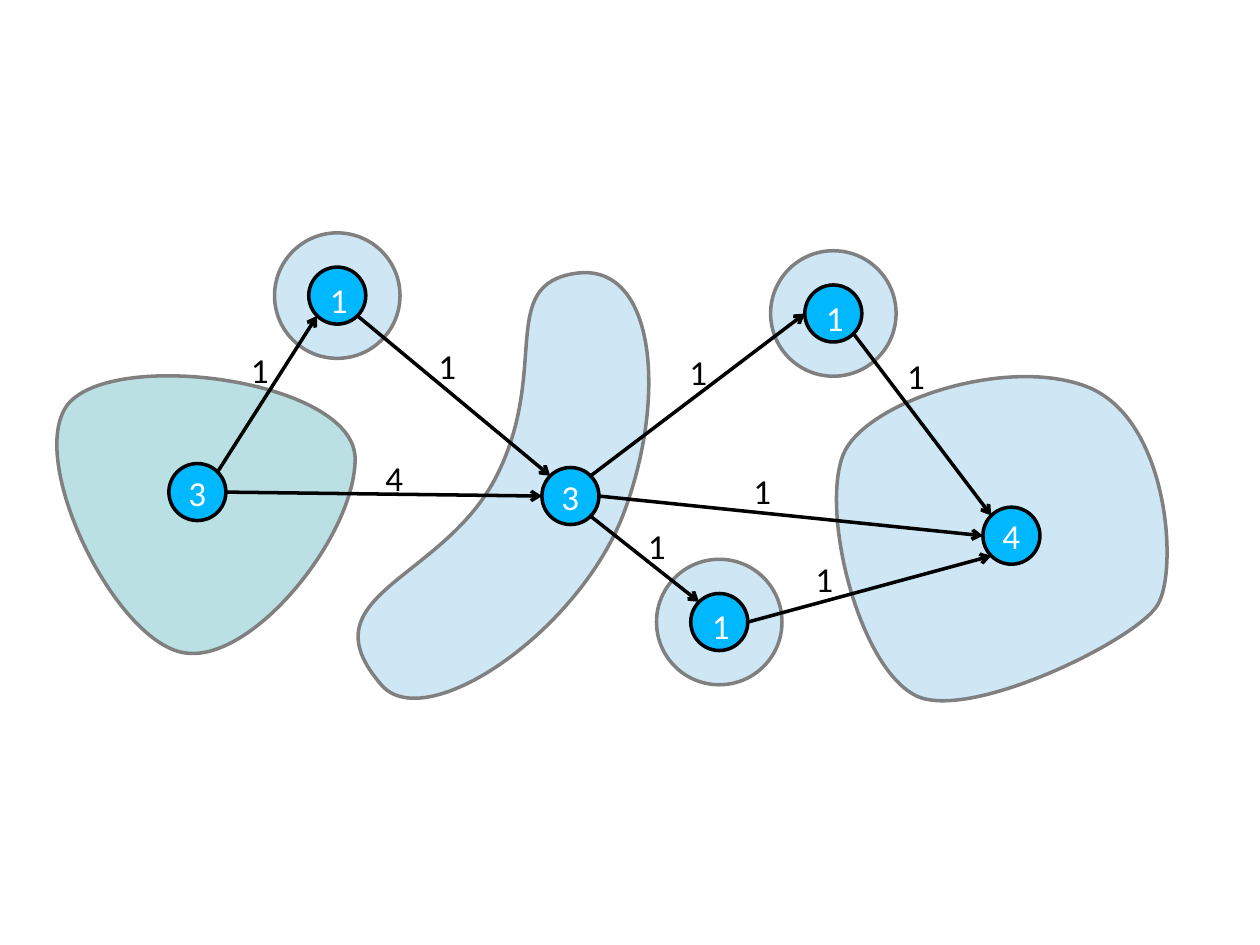
from math import cos, radians, sin

from lxml import etree
from pptx import Presentation
from pptx.dml.color import RGBColor
from pptx.enum.shapes import MSO_CONNECTOR, MSO_SHAPE
from pptx.enum.text import MSO_ANCHOR, MSO_AUTO_SIZE, PP_ALIGN
from pptx.oxml.ns import qn
from pptx.util import Cm, Pt

OVAL = MSO_SHAPE.OVAL
LINE = MSO_CONNECTOR.STRAIGHT
LEFT, CENTER = PP_ALIGN.LEFT, PP_ALIGN.CENTER
TOP, MIDDLE = MSO_ANCHOR.TOP, MSO_ANCHOR.MIDDLE
GROW = MSO_AUTO_SIZE.SHAPE_TO_FIT_TEXT
HEX = {"pale": "CFE7F5", "teal": "BBE0E3", "gray": "808080",
       "blue": "00B8FF", "black": "000000", "white": "FFFFFF"}
RGB = {name: RGBColor.from_string(code) for name, code in HEX.items()}
NODE, HALO = 1.15, 2.53

deck = Presentation()
deck.slide_width, deck.slide_height = Cm(25.4), Cm(19.05)
slide = deck.slides.add_slide(deck.slide_layouts[6])
shapes = slide.shapes


def write(text, frame=None, at=None, color="black", align=LEFT, anchor=TOP):
    if frame is None:
        frame = shapes.add_textbox(Cm(at[0]), Cm(at[1]), Cm(0.82), Cm(1.08)).text_frame
        frame.auto_size = GROW
        frame.margin_left = frame.margin_right = Cm(0.23)
        frame.margin_top = frame.margin_bottom = Cm(0.11)
    frame.word_wrap = False
    frame.vertical_anchor = anchor
    para = frame.paragraphs[0]
    para.alignment = align
    run = para.add_run()
    run.text = text
    run.font.name = "Calibri"
    run.font.size = Pt(20)
    run.font.color.rgb = RGB[color]


def paint(shape, fill, line):
    shape.shadow.inherit = False
    shape.fill.solid()
    shape.fill.fore_color.rgb = RGB[fill]
    shape.line.color.rgb = RGB[line]
    shape.line.width = Pt(2)


blobs = [
    ("pale", (7.21, 5.51, 5.87, 8.56),
     [(7.7, 13.82), (8.59, 14.81), (11.61, 12.78), (12.55, 10.41),
      (13.46, 8.05), (13.23, 5.28), (11.61, 5.51), (10.01, 5.74),
      (11.1, 7.44), (10.01, 9.6), (8.92, 11.73), (6.1, 11.99)]),
    ("pale", (16.87, 7.59, 6.68, 6.53),
     [(16.99, 9.19), (17.4, 8.1), (20.35, 7.14), (21.97, 7.82),
      (23.57, 8.51), (23.75, 11.51), (23.34, 12.19), (22.94, 12.88),
      (19.66, 14.5), (18.52, 14.05), (17.35, 13.56), (16.54, 10.41)]),
    ("teal", (1.14, 7.57, 5.99, 5.59),
     [(1.37, 8.15), (2.31, 7.01), (7.16, 7.67), (7.16, 9.25),
      (7.16, 10.8), (5.08, 13.39), (3.71, 13.16), (2.31, 12.93),
      (0.51, 9.25)]),
]
for fill, box, knots in blobs:
    ring = [(Cm(x), Cm(y)) for x, y in knots + knots[:1]]
    pen = shapes.build_freeform(*ring[0])
    pen.add_line_segments(ring[1:], close=True)
    blob = pen.convert_to_shape()
    blob.left, blob.top, blob.width, blob.height = map(Cm, box)
    track = blob._element.find(".//" + qn("a:path"))
    track.set("w", str(blob.width))
    track.set("h", str(blob.height))
    for spot, (x, y) in zip(track.iter(qn("a:pt")), ring):
        spot.set("x", str(x - blob.left))
        spot.set("y", str(y - blob.top))
    lines = track.findall(qn("a:lnTo"))
    for i in range(0, len(lines), 3):
        curve = etree.Element(qn("a:cubicBezTo"))
        lines[i].addprevious(curve)
        for line in lines[i:i + 3]:
            curve.append(line[0])
            track.remove(line)
    paint(blob, fill, "gray")

nodes = {
    "a": (3.98, 9.92, "3", False),
    "b": (6.8, 5.96, "1", True),
    "c": (11.5, 10, "3", False),
    "d": (16.8, 6.32, "1", True),
    "e": (14.5, 12.54, "1", True),
    "f": (20.39, 10.8, "4", False),
}
for x, y, text, single in nodes.values():
    for size, fill, line in [(HALO, "pale", "gray")] * single + [(NODE, "blue", "black")]:
        disc = shapes.add_shape(OVAL, Cm(x - size / 2), Cm(y - size / 2), Cm(size), Cm(size))
        paint(disc, fill, line)
    if single:
        write(text, at=(x - 0.38, y - 0.46), color="white")
    else:
        write(text, frame=disc.text_frame, color="white", align=CENTER, anchor=MIDDLE)

edges = [
    ("a", -45, "b", 135, "1", (4.83, 6.91)),
    ("a", 0, "c", 180, "4", (7.54, 9.09)),
    ("b", 45, "c", 225, "1", (8.61, 6.83)),
    ("c", -45, "d", 180, "1", (13.67, 6.96)),
    ("c", 0, "f", 180, "1", (14.96, 9.35)),
    ("c", 45, "e", 225, "1", (12.83, 10.46)),
    ("e", 0, "f", 135, "1", (16.21, 11.13)),
    ("d", 45, "f", 225, "1", (18.06, 7.04)),
]
for start, out, end, into, text, place in edges:
    ends = []
    for name, turn in ((start, out), (end, into)):
        x, y = nodes[name][:2]
        ends += [Cm(x + NODE / 2 * cos(radians(turn))), Cm(y + NODE / 2 * sin(radians(turn)))]
    arrow = shapes.add_connector(LINE, *ends)
    arrow.line.color.rgb = RGB["black"]
    arrow.line.width = Pt(2)
    etree.SubElement(arrow.line._get_or_add_ln(), qn("a:tailEnd"), type="arrow")
    etree.SubElement(arrow._element.spPr, qn("a:effectLst"))
    write(text, at=place)

deck.save("out.pptx")
